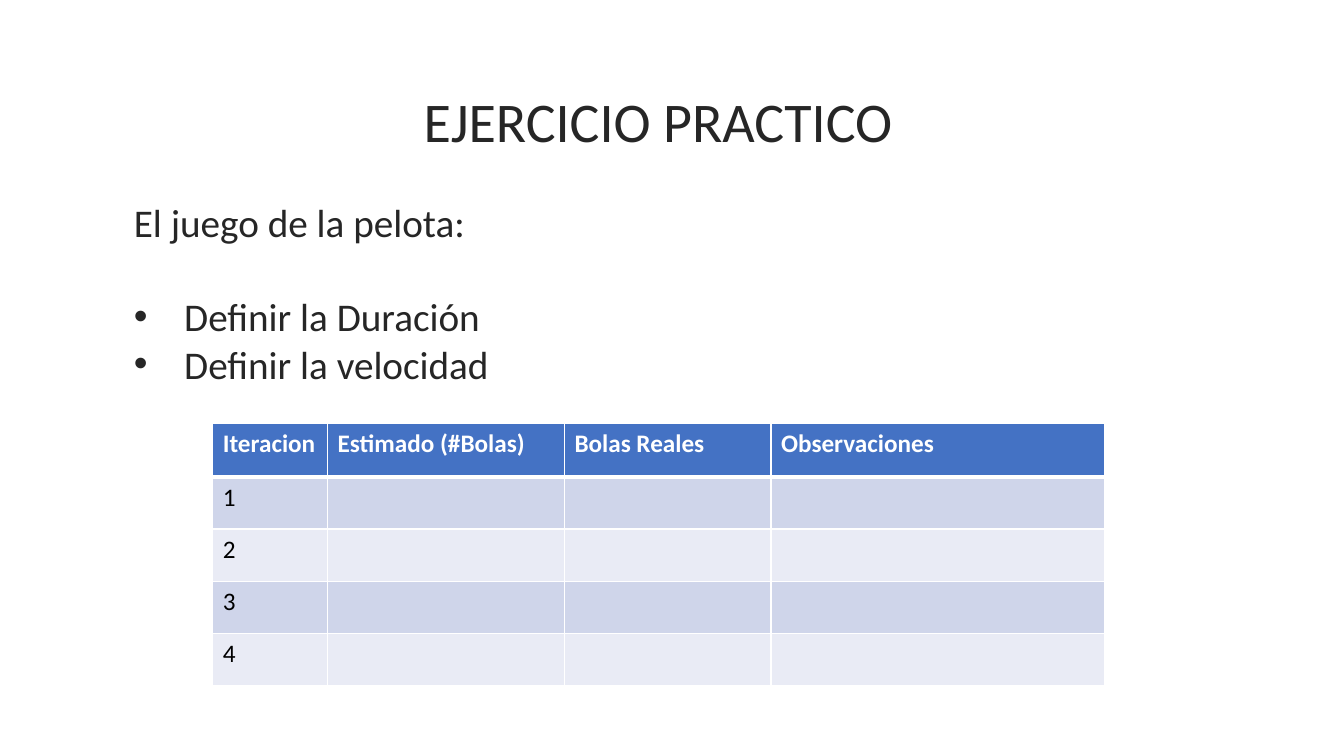
from lxml import etree
from pptx import Presentation
from pptx.dml.color import RGBColor
from pptx.enum import text as t
from pptx.oxml import ns
from pptx.util import Pt

INK = RGBColor(0x26, 0x26, 0x26)
BLACK = RGBColor(0, 0, 0)
WHITE = RGBColor(0xFF, 0xFF, 0xFF)
BLUE = RGBColor(0x44, 0x72, 0xC4)
BANDS = (RGBColor(0xCF, 0xD5, 0xEA), RGBColor(0xE9, 0xEB, 0xF5))
FONT = "Calibri"


def write(paragraph, words, size=28, color=INK, bold=False, align=None, before=0, bullet=False):
    """Put formatted words in a paragraph."""
    if bullet:
        properties = paragraph._p.get_or_add_pPr()
        properties.set("marL", str(Pt(36)))
        properties.set("indent", str(-Pt(36)))
        etree.SubElement(properties, ns.qn("a:buFont"), typeface="Arial")
        etree.SubElement(properties, ns.qn("a:buChar"), char="•")
    if before:
        paragraph.space_before = Pt(before)
    if align is not None:
        paragraph.alignment = align
    run = paragraph.add_run()
    run.text = words
    run.font.name, run.font.size, run.font.bold = FONT, Pt(size), bold
    run.font.color.rgb = color


def add_heading(slide, left, top, width, height):
    """Place the slide title in its box."""
    heading = slide.shapes.title
    heading.left, heading.top, heading.width, heading.height = map(Pt, (left, top, width, height))
    frame = heading.text_frame
    frame.auto_size = t.MSO_AUTO_SIZE.NONE
    frame.vertical_anchor = t.MSO_ANCHOR.MIDDLE
    write(frame.paragraphs[0], "EJERCICIO PRACTICO", size=40, align=t.PP_ALIGN.CENTER)


def add_steps(slide, left, top, width, height):
    """Place the game's name and its bulleted steps."""
    frame = slide.shapes.add_textbox(*map(Pt, (left, top, width, height))).text_frame
    frame.word_wrap = True
    write(frame.paragraphs[0], "El juego de la pelota:")
    for step, gap in (("Definir la Duración", 34), ("Definir la velocidad", 0)):
        write(frame.add_paragraph(), step, before=gap, bullet=True)


def add_border(cell, side, weight):
    """Draw a white line on one side of a cell."""
    line = etree.SubElement(cell._tc.get_or_add_tcPr(), ns.qn("a:ln" + side), w=str(Pt(weight)))
    fill = etree.SubElement(line, ns.qn("a:solidFill"))
    etree.SubElement(fill, ns.qn("a:srgbClr"), val=str(WHITE))


def add_score_table(slide, left, top, width, height):
    """Place the table of iterations with shares of the given width."""
    headers = ("Iteracion", "Estimado (#Bolas)", "Bolas Reales", "Observaciones")
    rows = [headers] + [(str(number), "", "", "") for number in range(1, 5)]
    shares = (1.14, 2.35, 2.05, 3.31)
    header_height = 38.2
    table = slide.shapes.add_table(len(rows), len(headers), *map(Pt, (left, top, width, height))).table
    for column, share in zip(table.columns, shares):
        column.width = Pt(width * share / sum(shares))
    for index, values in enumerate(rows):
        is_header = index == 0
        row_height = header_height if is_header else (height - header_height) / (len(rows) - 1)
        table.rows[index].height = Pt(row_height)
        for column, value in enumerate(values):
            cell = table.cell(index, column)
            weights = {"L": 1, "R": 1, "T": 3 if index == 1 else 1, "B": 3 if is_header else 1}
            for side, weight in weights.items():
                add_border(cell, side, weight)
            cell.fill.solid()
            cell.fill.fore_color.rgb = BLUE if is_header else BANDS[(index - 1) % 2]
            if value:
                write(cell.text_frame.paragraphs[0], value, size=18,
                      color=WHITE if is_header else BLACK, bold=is_header)


def main():
    """Build and save the slide."""
    deck = Presentation()
    deck.slide_width, deck.slide_height = Pt(960), Pt(540)
    slide = deck.slides.add_slide(deck.slide_layouts[5])
    add_heading(slide, 128, 46, 684, 80)
    add_steps(slide, 88.5, 138, 580, 177)
    add_score_table(slide, 152, 302.5, 637, 187)
    deck.save("out.pptx")


if __name__ == "__main__":
    main()
